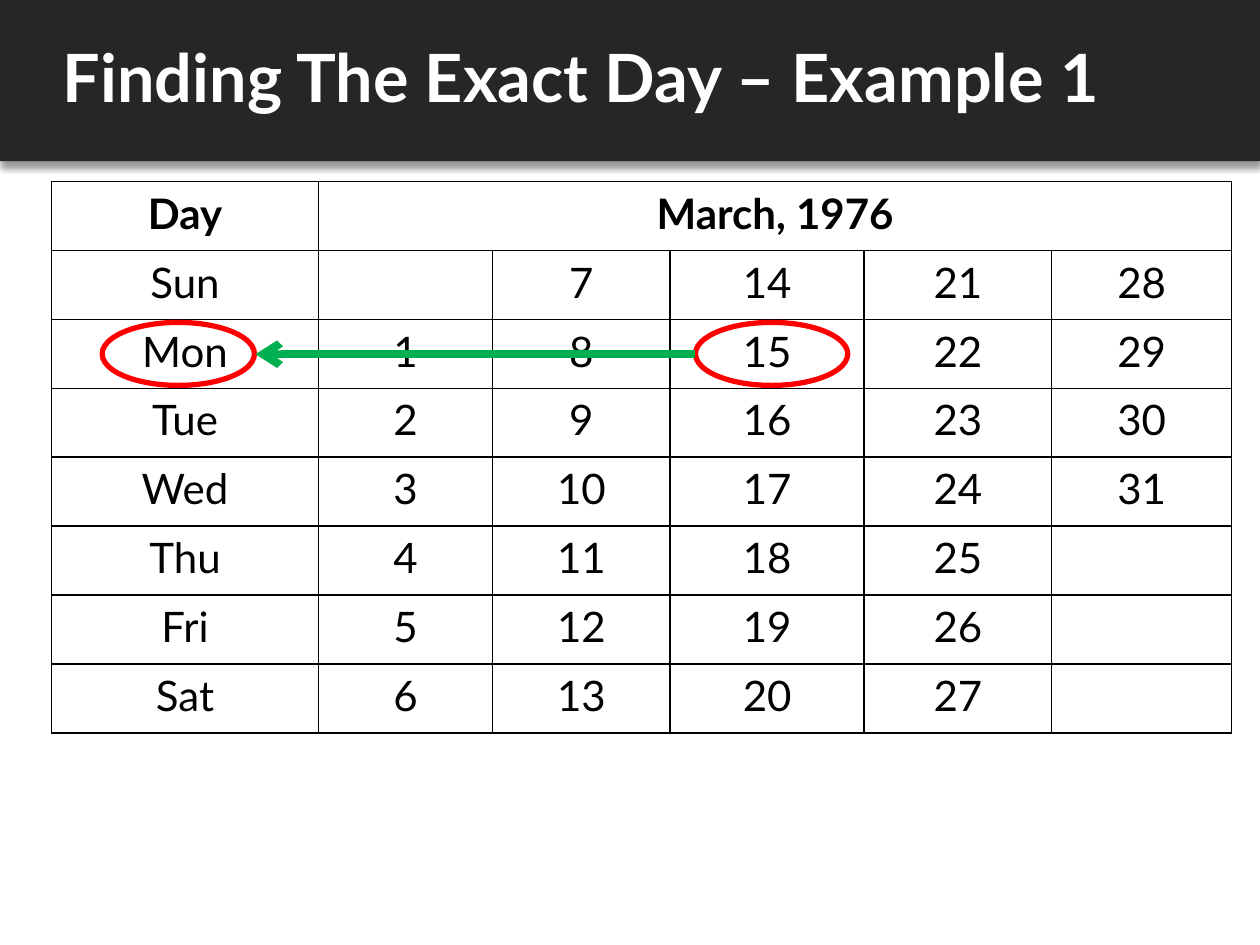
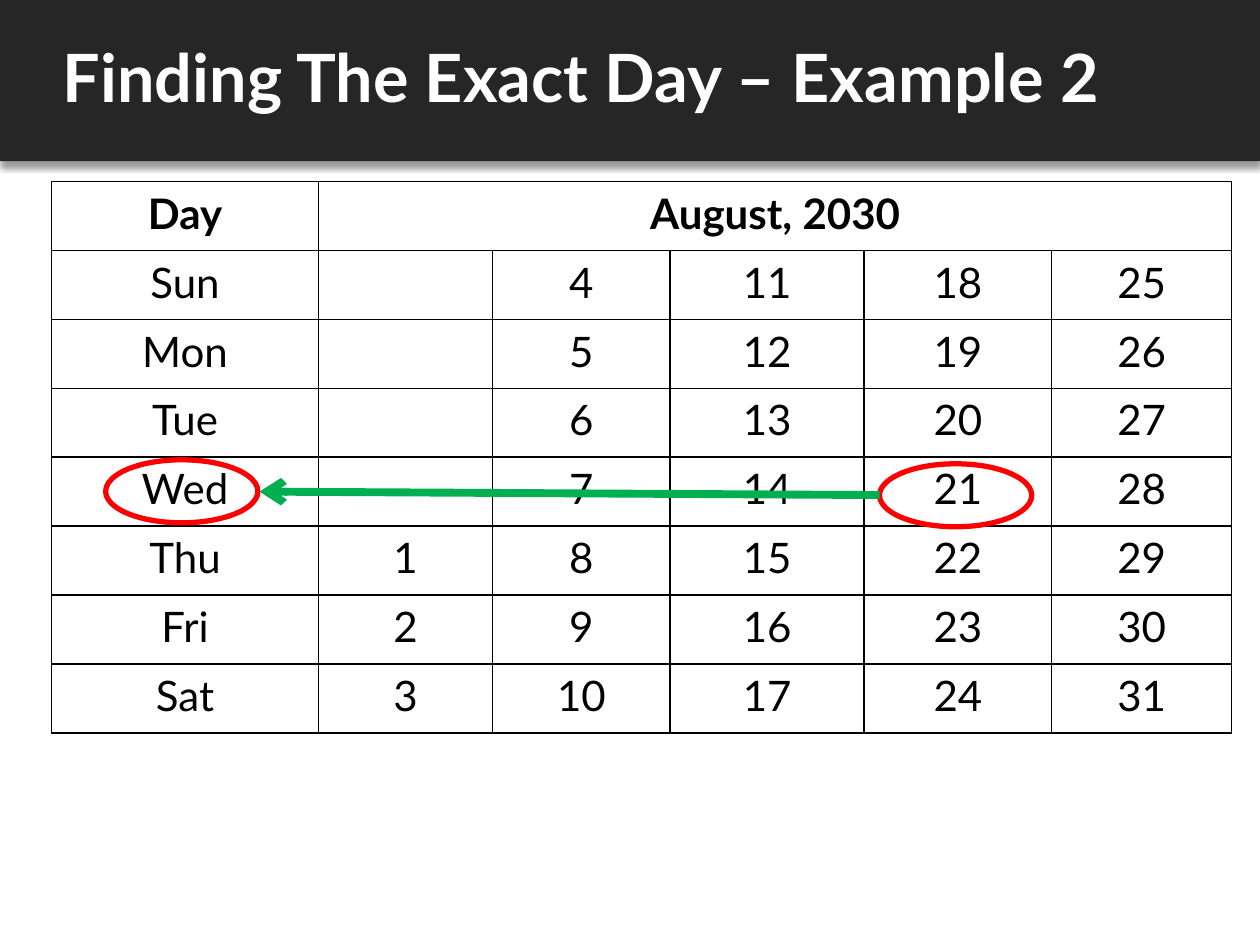
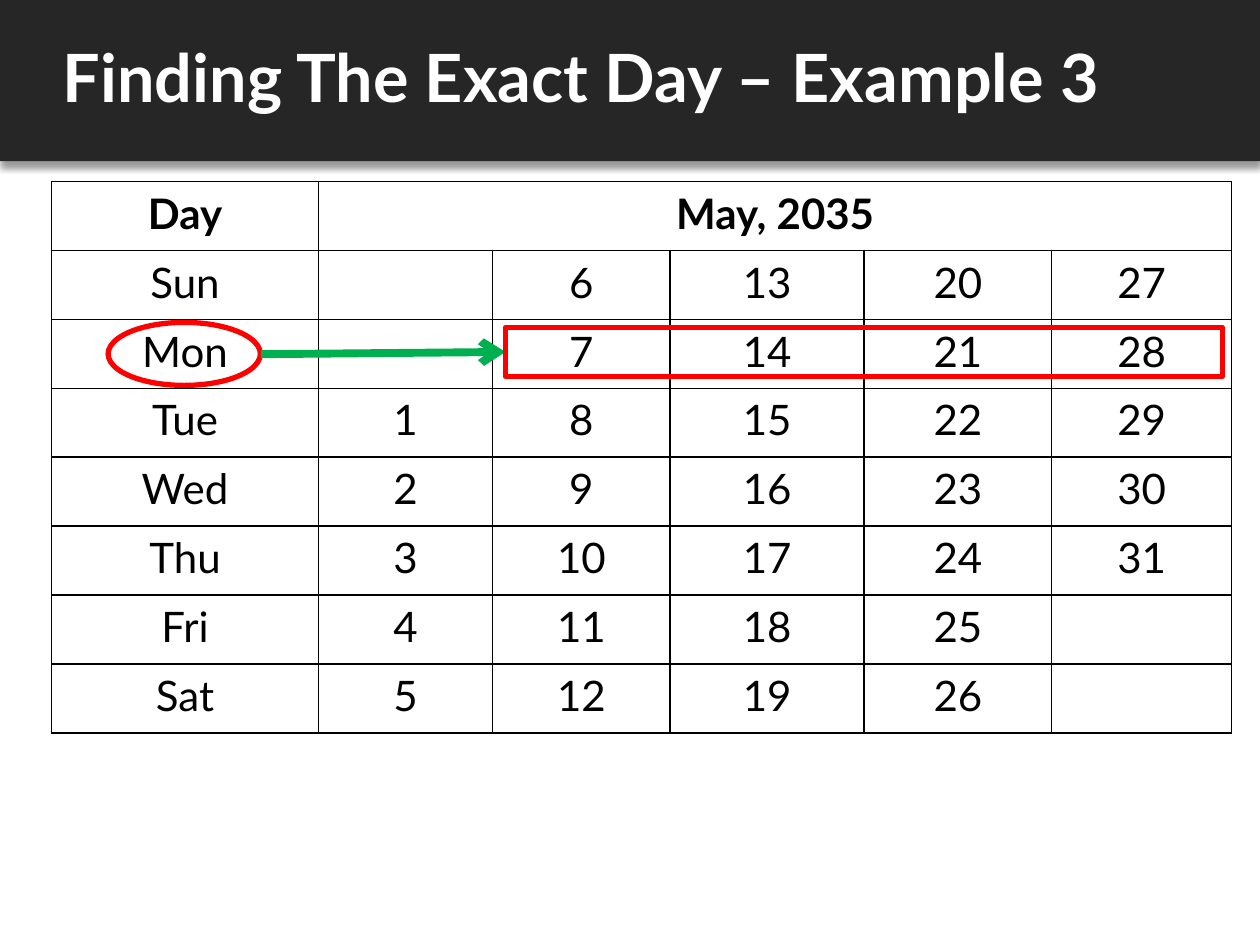
from lxml import etree
from pptx import Presentation
from pptx.dml.color import RGBColor
from pptx.enum.shapes import MSO_CONNECTOR, MSO_SHAPE
from pptx.enum.text import MSO_ANCHOR, PP_ALIGN
from pptx.oxml.ns import qn
from pptx.util import Cm, Pt

RECTANGLE, OVAL = MSO_SHAPE.RECTANGLE, MSO_SHAPE.OVAL
STRAIGHT = MSO_CONNECTOR.STRAIGHT
MIDDLE, CENTER = MSO_ANCHOR.MIDDLE, PP_ALIGN.CENTER

FONT = "Lato"
WHITE = RGBColor(0xFF, 0xFF, 0xFF)
BLACK = RGBColor(0, 0, 0)
CHARCOAL = RGBColor(0x26, 0x26, 0x26)
RED = RGBColor(0xFF, 0, 0)
GREEN = RGBColor(0, 0xB0, 0x50)

WEEKDAYS = ["Sun", "Mon", "Tue", "Wed", "Thu", "Fri", "Sat"]
DAYS_IN_MONTH = 31  # holds for every month shown

# first: weekday of the 1st; ovals: left, top; box: left, top, width, height;
# arrow: start, end (all in cm)
EXAMPLES = [
    {"title": "Finding The Exact Day – Example 1", "month": "March, 1976", "first": "Mon",
     "ovals": [(2.06, 6.5), (14.02, 6.5)], "box": None,
     "arrow": ((14.02, 7.14), (5.15, 7.14))},
    {"title": "Finding The Exact Day – Example 2", "month": "August, 2030", "first": "Thu",
     "ovals": [(2.13, 9.27), (17.73, 9.35)], "box": None,
     "arrow": ((17.73, 9.98), (5.23, 9.91))},
    {"title": "Finding The Exact Day – Example 3", "month": "May, 2035", "first": "Tue",
     "ovals": [(2.18, 6.5)], "box": (10.19, 6.6, 14.45, 0.99),
     "arrow": ((5.26, 7.14), (10.19, 7.1))},
]

SLIDE_W, SLIDE_H = 25.4, 19.05
BAND_H = 3.25
TITLE_LEFT = 1.02
TABLE_LEFT, TABLE_TOP = 1.04, 3.66
COLUMN_WIDTHS = [5.38, 3.51, 3.58, 3.91, 3.78, 3.63]
ROW_H = 1.39
OVAL_W, OVAL_H = 3.07, 1.27


def write(paragraph, text, size, color, bold):
    run = paragraph.add_run()
    run.text = text
    run.font.name = FONT
    run.font.size = Pt(size)
    run.font.bold = bold
    run.font.color.rgb = color


def add_title_band(slide, title):
    band = slide.shapes.add_shape(RECTANGLE, 0, 0, Cm(SLIDE_W), Cm(BAND_H))
    band.fill.solid()
    band.fill.fore_color.rgb = CHARCOAL
    band.line.fill.background()
    band.shadow.inherit = False
    effects = band._element.spPr.find(qn("a:effectLst"))
    shadow = etree.SubElement(effects, qn("a:outerShdw"), blurRad=str(Pt(4)),
                              dist=str(Pt(3)), dir="5400000", rotWithShape="0")
    shade = etree.SubElement(shadow, qn("a:srgbClr"), val=str(BLACK))
    etree.SubElement(shade, qn("a:alpha"), val="40000")

    heading = slide.shapes.add_textbox(Cm(TITLE_LEFT), 0, Cm(SLIDE_W - TITLE_LEFT), Cm(BAND_H))
    frame = heading.text_frame
    frame.word_wrap = True
    frame.vertical_anchor = MIDDLE
    paragraph = frame.paragraphs[0]
    paragraph.line_spacing = 0.9
    paragraph.space_after = Pt(6)
    write(paragraph, title, 38, WHITE, True)


def calendar_rows(month, first):
    """Return the heading row and one row per weekday, with a column per week."""
    rows = [["Day", month, "", "", "", ""]]
    offset = WEEKDAYS.index(first)
    for position, weekday in enumerate(WEEKDAYS):
        dates = [7 * week + position - offset + 1 for week in range(5)]
        rows.append([weekday] + [str(d) if 1 <= d <= DAYS_IN_MONTH else "" for d in dates])
    return rows


def style_cell(cell):
    """Give the cell black borders on all sides and a white fill."""
    properties = cell._tc.get_or_add_tcPr()
    for side in ("lnL", "lnR", "lnT", "lnB"):
        border = etree.SubElement(properties, qn(f"a:{side}"), w=str(Pt(1)))
        paint = etree.SubElement(border, qn("a:solidFill"))
        etree.SubElement(paint, qn("a:srgbClr"), val=str(BLACK))
    cell.fill.solid()
    cell.fill.fore_color.rgb = WHITE


def add_calendar(slide, month, first):
    rows = calendar_rows(month, first)
    table = slide.shapes.add_table(len(rows), len(COLUMN_WIDTHS), Cm(TABLE_LEFT), Cm(TABLE_TOP),
                                   Cm(sum(COLUMN_WIDTHS)), Cm(ROW_H * len(rows))).table
    table.first_row = table.horz_banding = False
    for column, width in zip(table.columns, COLUMN_WIDTHS):
        column.width = Cm(width)
    for r, row in enumerate(rows):
        table.rows[r].height = Cm(ROW_H)
        for c, text in enumerate(row):
            cell = table.cell(r, c)
            style_cell(cell)
            if text:
                paragraph = cell.text_frame.paragraphs[0]
                paragraph.alignment = CENTER
                write(paragraph, text, 24, BLACK, r == 0)
    table.cell(0, 1).merge(table.cell(0, len(COLUMN_WIDTHS) - 1))


def add_highlight(slide, kind, left, top, width, height):
    outline = slide.shapes.add_shape(kind, Cm(left), Cm(top), Cm(width), Cm(height))
    outline.fill.background()
    outline.line.color.rgb = RED
    outline.line.width = Pt(3)
    outline.shadow.inherit = False
    return outline


def add_arrow(slide, start, end):
    arrow = slide.shapes.add_connector(STRAIGHT, *map(Cm, start + end))
    arrow.line.color.rgb = GREEN
    arrow.line.width = Pt(4.5)
    etree.SubElement(arrow.line._get_or_add_ln(), qn("a:tailEnd"), type="arrow")
    etree.SubElement(arrow._element.spPr, qn("a:effectLst"))
    return arrow


def main():
    deck = Presentation()
    deck.slide_width, deck.slide_height = Cm(SLIDE_W), Cm(SLIDE_H)
    blank = deck.slide_layouts[6]
    for example in EXAMPLES:
        slide = deck.slides.add_slide(blank)
        add_title_band(slide, example["title"])
        add_calendar(slide, example["month"], example["first"])
        for left, top in example["ovals"]:
            add_highlight(slide, OVAL, left, top, OVAL_W, OVAL_H)
        arrow = add_arrow(slide, *example["arrow"])
        if example["box"]:
            arrow.end_connect(add_highlight(slide, RECTANGLE, *example["box"]), 1)
    deck.save("out.pptx")


if __name__ == "__main__":
    main()
